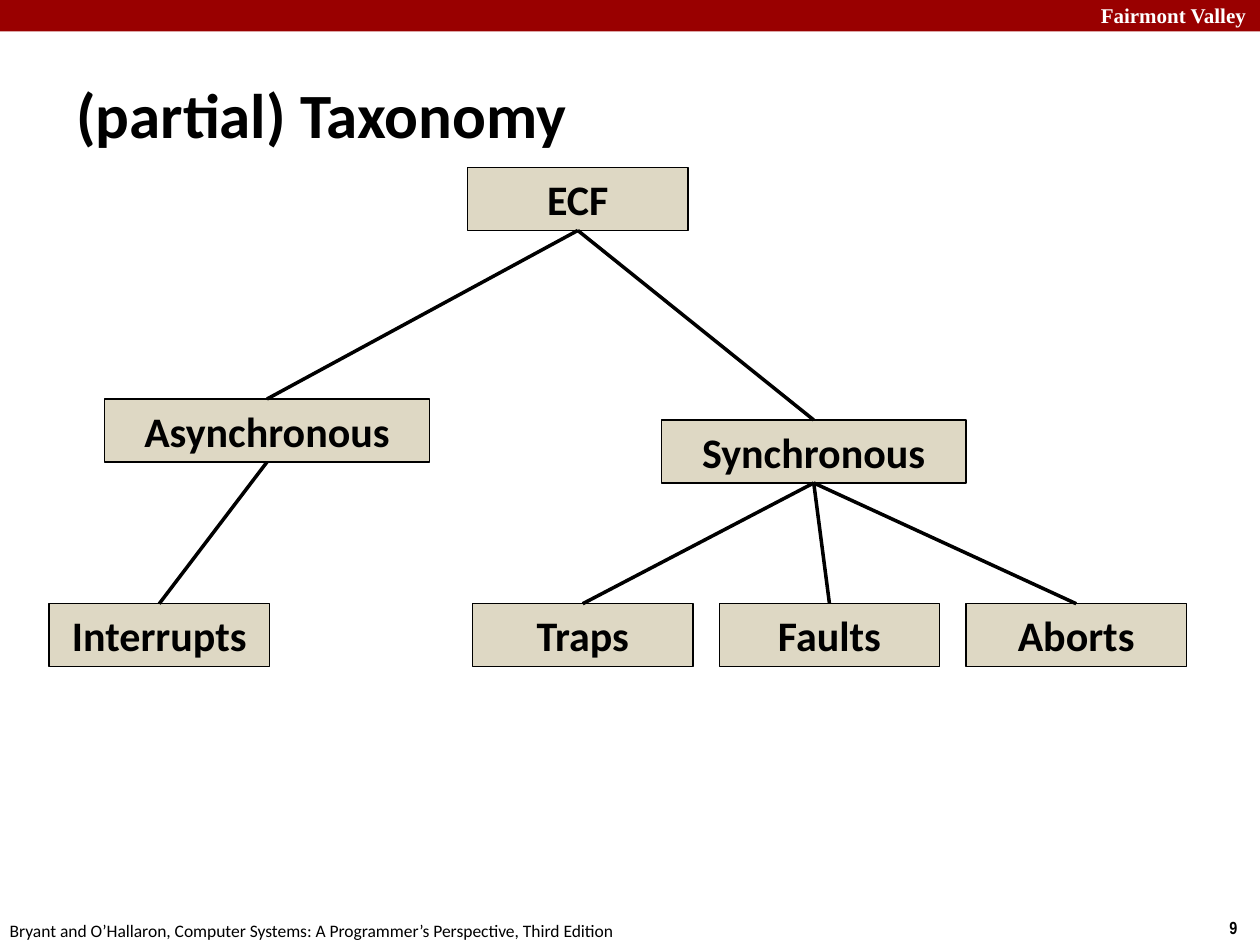
from lxml.etree import SubElement
from pptx import Presentation
from pptx.dml.color import RGBColor
from pptx.enum.shapes import MSO_CONNECTOR, MSO_SHAPE
from pptx.enum.text import MSO_ANCHOR, PP_ALIGN
from pptx.oxml.ns import qn
from pptx.util import Pt

RED = RGBColor(0x99, 0x00, 0x00)
TAN = RGBColor(0xDE, 0xD8, 0xC4)
BLACK = RGBColor(0, 0, 0)
WHITE = RGBColor(0xFF, 0xFF, 0xFF)

BOX_H = 36
LEAF_W = 126
LEAF_TOP = 345
LEAF_STEP = 141  # leaf width plus gap
TRAPS_LEFT = 270

# Taxonomy nodes: name, left, top, width
NODES = [
    ("ECF", 267.2, 95.7, LEAF_W),
    ("Asynchronous", 59.6, 228, 186),
    ("Synchronous", 378, 240, 174),
    ("Interrupts", 28, LEAF_TOP, LEAF_W),
] + [
    (name, TRAPS_LEFT + i * LEAF_STEP, LEAF_TOP, LEAF_W)
    for i, name in enumerate(["Traps", "Faults", "Aborts"])
]

CHILDREN = {
    "ECF": ["Asynchronous", "Synchronous"],
    "Asynchronous": ["Interrupts"],
    "Synchronous": ["Traps", "Faults", "Aborts"],
}

# Labels: text, left, top, width, height, size, font, colour, bold, wrap
LABELS = [
    ("Fairmont Valley", 622, -2, 103, 22, 12, "Times New Roman", WHITE, True, True),
    ("9", 695.5, 520.5, 24.5, 19.5, 10, "Arial Narrow", BLACK, True, False),
    ("Bryant and O’Hallaron, Computer Systems: A Programmer’s Perspective, Third Edition",
     -1.5, 522, 366, 19.5, 10, "Calibri", BLACK, False, False),
    ("(partial) Taxonomy", 36.5, 34.5, 589, 60, 36, "Calibri", BLACK, True, True),
]


def add_text(s, text, size, font, color, bold):
    p = s.text_frame.paragraphs[0]
    r = p.add_run()
    r.text = text
    r.font.size = Pt(size)
    r.font.name = font
    r.font.bold = bold
    r.font.color.rgb = color
    return p


def add_rect(slide, left, top, width, height, fill):
    s = slide.shapes.add_shape(
        MSO_SHAPE.RECTANGLE, Pt(left), Pt(top), Pt(width), Pt(height))
    s.shadow.inherit = False
    s.fill.solid()
    s.fill.fore_color.rgb = fill
    return s


def add_node(slide, name, left, top, width):
    s = add_rect(slide, left, top, width, BOX_H, TAN)
    s.line.color.rgb = BLACK
    s.line.width = Pt(0.75)
    s.text_frame.vertical_anchor = MSO_ANCHOR.TOP
    p = add_text(s, name, 24, "Calibri", BLACK, True)
    p.alignment = PP_ALIGN.CENTER
    return s


def add_branch(slide, parent, child):
    c = slide.shapes.add_connector(MSO_CONNECTOR.STRAIGHT, 0, 0, 0, 0)
    c.begin_connect(parent, 2)
    c.end_connect(child, 0)
    c.line.color.rgb = BLACK
    c.line.width = Pt(2)
    SubElement(c._element.spPr, qn("a:effectLst"))


prs = Presentation()
prs.slide_width, prs.slide_height = Pt(720), Pt(540)
slide = prs.slides.add_slide(prs.slide_layouts[6])

# Header band
band = add_rect(slide, 0, 0, 720, 18, RED)
band.line.fill.background()

# Header name, page number, footer and title
for text, left, top, width, height, size, font, color, bold, wrap in LABELS:
    s = slide.shapes.add_textbox(Pt(left), Pt(top), Pt(width), Pt(height))
    s.text_frame.word_wrap = wrap
    s.text_frame.vertical_anchor = MSO_ANCHOR.MIDDLE if size == 36 else MSO_ANCHOR.TOP
    add_text(s, text, size, font, color, bold)

# Tree
boxes = {node[0]: add_node(slide, *node) for node in NODES}
for parent, children in CHILDREN.items():
    for child in children:
        add_branch(slide, boxes[parent], boxes[child])

prs.save("out.pptx")
